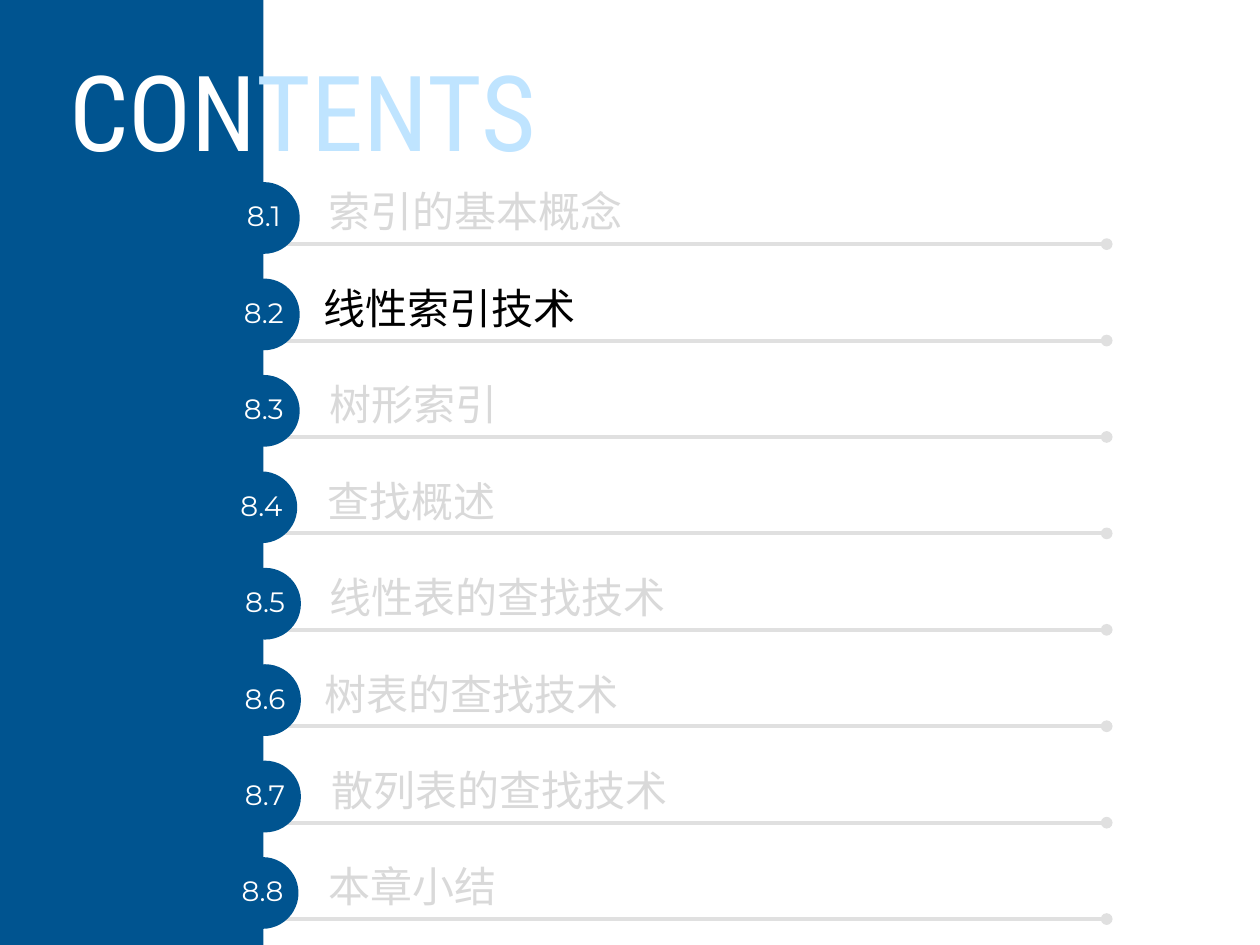
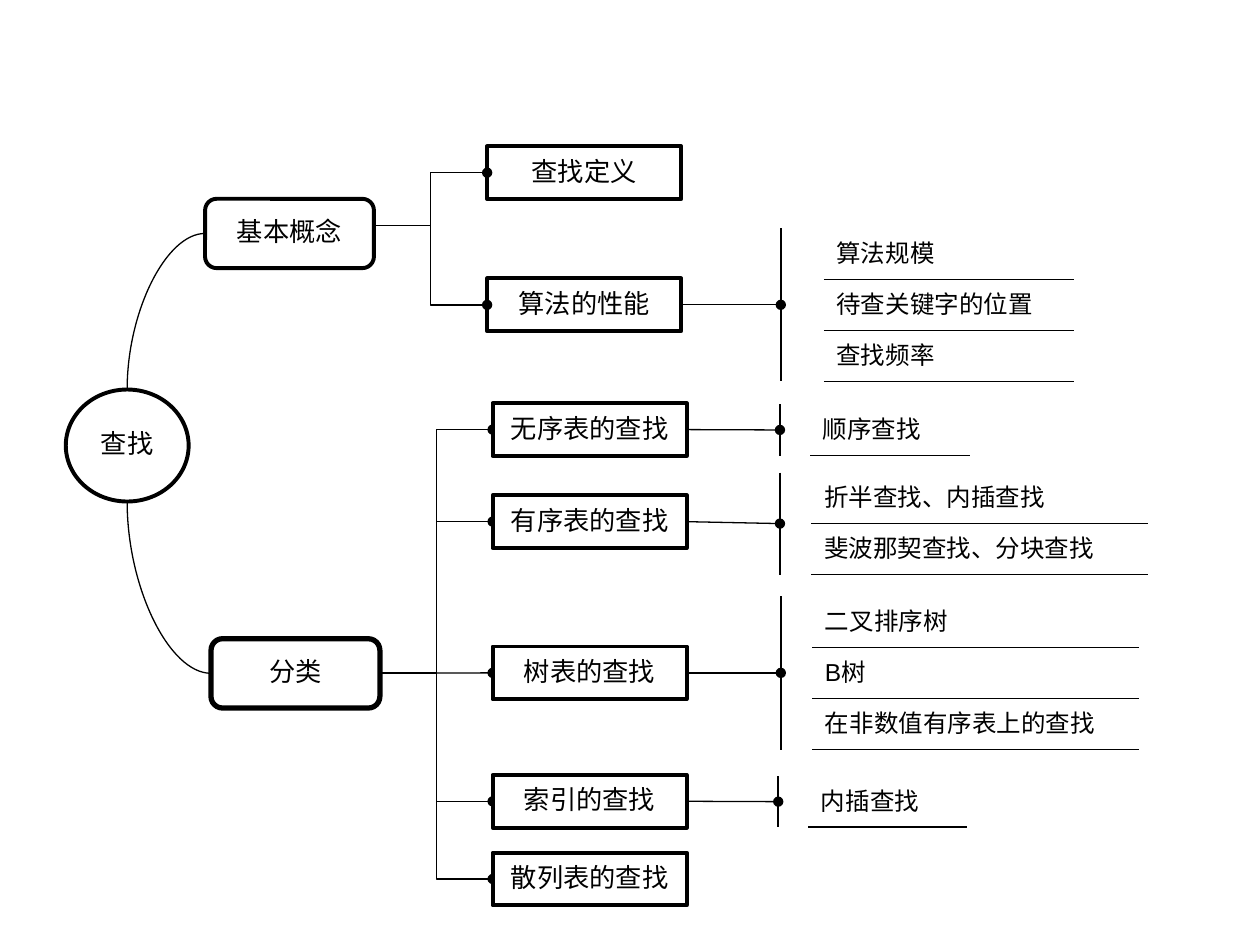
from dataclasses import dataclass
from typing import Optional

from lxml.etree import SubElement
from pptx import Presentation
from pptx.dml.color import RGBColor
from pptx.enum.shapes import MSO_CONNECTOR, MSO_SHAPE
from pptx.enum.text import MSO_ANCHOR, MSO_AUTO_SIZE, PP_ALIGN
from pptx.oxml.ns import qn
from pptx.util import Pt

BLUE, PALE_BLUE = "005490", "BFE4FF"
WHITE, BLACK = "FFFFFF", "000000"
RULE_GRAY, MUTED_GRAY = "E0E0E0", "D9D9D9"
TITLE_FONT, NUMBER_FONT = "Roboto Condensed", "Montserrat"
CONTENTS_FONT, NODE_FONT, TABLE_FONT = "Noto Sans CJK JP", "Noto Sans CJK SC", "Arial"
PLAIN_TABLE_STYLE = "{2D5ABB26-0587-4C30-8999-92F81FD0307C}"

BAND_WIDTH = 150.5
ENTRY_PITCH = 55.1
CIRCLE_SIZE = 41
LEAF_WIDTH, LEAF_HEIGHT = 110.9, 30.2
TOPIC_WIDTH, TOPIC_HEIGHT = 96.5, 39.6
DETAIL_ROW_HEIGHT = 29.2


@dataclass
class Entry:
    text: str
    circle_left: float
    text_left: float
    color: str = MUTED_GRAY


@dataclass
class Details:
    left: float
    top: float
    gap_width: float
    text_width: float
    rows: list[str]

    @property
    def middle(self) -> float:
        return self.top + len(self.rows) * DETAIL_ROW_HEIGHT / 2


@dataclass
class Leaf:
    text: str
    top: float
    details: Optional[Details] = None


@dataclass
class Topic:
    text: str
    left: float
    top: float
    line_width: float
    outlet: float
    leaf_left: float
    dots_in_front: bool
    leaves: list[Leaf]


ENTRIES = [
    Entry("索引的基本概念", 130.3, 180.7),
    Entry("线性索引技术", 130.3, 177.8, BLACK),
    Entry("树形索引", 130.3, 181.4),
    Entry("查找概述", 128.9, 180),
    Entry("线性表的查找技术", 131, 181.4),
    Entry("树表的查找技术", 131, 178.6),
    Entry("散列表的查找技术", 131, 182.2),
    Entry("本章小结", 129.6, 180.7),
]

TOPICS = [
    Topic("分类", 120.6, 365, 3, 384.6, 281.5, False, [
        Leaf("无序表的查找", 230.4, Details(445.7, 231.1, 16.6, 91.4, ["顺序查找"])),
        Leaf("有序表的查找", 283, Details(
            445.7, 270, 18, 192.2, ["折半查找、内插查找", "斐波那契查找、分块查找"])),
        Leaf("树表的查找", 369.4, Details(
            446.2, 340.7, 18, 186.5, ["二叉排序树", "B树", "在非数值有序表上的查找"])),
        Leaf("索引的查找", 442.8, Details(444.7, 443.5, 16.6, 90.7, ["内插查找"])),
        Leaf("散列表的查找", 487.2),
    ]),
    Topic("基本概念", 117.2, 113.6, 2.25, 129, 278.4, True, [
        Leaf("查找定义", 83.6),
        Leaf("算法的性能", 159.1, Details(
            446.2, 130.4, 24.6, 142.8, ["算法规模", "待查关键字的位置", "查找频率"])),
    ]),
]


def color_of(value: str) -> RGBColor:
    return RGBColor.from_string(value)


def add_run(paragraph, text: str, font: str, size: float, color: str) -> None:
    run = paragraph.add_run()
    run.text = text
    run.font.size = Pt(size)
    run.font.name = font
    run.font.color.rgb = color_of(color)
    SubElement(run.font._element, qn("a:ea"), typeface=font)


def prepare_text(shape, align: PP_ALIGN):
    frame = shape.text_frame
    frame.word_wrap = True
    frame.auto_size = MSO_AUTO_SIZE.NONE
    frame.vertical_anchor = MSO_ANCHOR.MIDDLE
    paragraph = frame.paragraphs[0]
    paragraph.alignment = align
    paragraph.line_spacing = 0.9
    return paragraph


def add_box(slide, kind: MSO_SHAPE, left: float, top: float, width: float,
            height: float, fill: str, line_width: float = 0):
    shape = slide.shapes.add_shape(kind, Pt(left), Pt(top), Pt(width), Pt(height))
    shape.shadow.inherit = False
    shape.fill.solid()
    shape.fill.fore_color.rgb = color_of(fill)
    if line_width:
        shape.line.color.rgb = color_of(BLACK)
        shape.line.width = Pt(line_width)
    else:
        shape.line.fill.background()
    return shape


def add_node(slide, kind: MSO_SHAPE, text: str, left: float, top: float,
             width: float, height: float, line_width: float = 2.25):
    node = add_box(slide, kind, left, top, width, height, WHITE, line_width)
    add_run(prepare_text(node, PP_ALIGN.CENTER), text, NODE_FONT, 15, BLACK)
    return node


def add_line(slide, kind: MSO_CONNECTOR, start: tuple[float, float],
             end: tuple[float, float], color: str = BLACK, width: float = 0.75,
             ovals: tuple[str, ...] = ("tailEnd",)):
    connector = slide.shapes.add_connector(kind, *map(Pt, start + end))
    connector.line.color.rgb = color_of(color)
    connector.line.width = Pt(width)
    for end_name in ovals:
        SubElement(connector.line._get_or_add_ln(), qn(f"a:{end_name}"), type="oval")
    SubElement(connector._element.spPr, qn("a:effectLst"))
    return connector


def add_arc(slide, start: tuple[float, float], end: tuple[float, float]) -> None:
    connector = add_line(slide, MSO_CONNECTOR.CURVE, start, end, ovals=())
    connector._element.spPr.find(qn("a:prstGeom")).set("prst", "curvedConnector2")


def bring_to_front(slide, shape) -> None:
    slide.shapes._spTree.append(shape._element)


def add_border(cell, side: str) -> None:
    border = SubElement(cell._tc.get_or_add_tcPr(), qn(f"a:{side}"), w=str(Pt(1)))
    fill = SubElement(border, qn("a:solidFill"))
    SubElement(fill, qn("a:srgbClr"), val=BLACK)


def add_details(slide, details: Details) -> None:
    count = len(details.rows)
    table = slide.shapes.add_table(
        count, 2, Pt(details.left), Pt(details.top),
        Pt(details.gap_width + details.text_width), Pt(count * DETAIL_ROW_HEIGHT)).table
    table._tbl.tblPr.find(qn("a:tableStyleId")).text = PLAIN_TABLE_STYLE
    table.first_row = table.horz_banding = False
    table.columns[0].width = Pt(details.gap_width)
    table.columns[1].width = Pt(details.text_width)
    for index, text in enumerate(details.rows):
        table.rows[index].height = Pt(DETAIL_ROW_HEIGHT)
        gap_cell, text_cell = table.cell(index, 0), table.cell(index, 1)
        add_border(gap_cell, "lnL")
        if index:
            add_border(text_cell, "lnT")
        add_border(text_cell, "lnB")
        for cell in (gap_cell, text_cell):
            cell.fill.background()
            cell.vertical_anchor = MSO_ANCHOR.MIDDLE
        add_run(text_cell.text_frame.paragraphs[0], text, TABLE_FONT, 14, BLACK)


def add_contents_title(slide) -> None:
    title = slide.shapes.title
    title.left, title.top, title.width, title.height = map(Pt, (-2.9, 25.2, 351.4, 83.5))
    paragraph = prepare_text(title, PP_ALIGN.CENTER)
    add_run(paragraph, "CON", TITLE_FONT, 60, WHITE)
    add_run(paragraph, "TENTS", TITLE_FONT, 60, PALE_BLUE)
    bring_to_front(slide, title)


def add_entry(slide, entry: Entry, index: int) -> None:
    offset = index * ENTRY_PITCH
    circle = add_box(slide, MSO_SHAPE.OVAL, entry.circle_left, 104.1 + offset,
                     CIRCLE_SIZE, CIRCLE_SIZE, BLUE)
    paragraph = prepare_text(circle, PP_ALIGN.CENTER)
    frame = circle.text_frame
    frame.margin_left = frame.margin_top = frame.margin_right = frame.margin_bottom = 0
    add_run(paragraph, f"8.{index + 1}", NUMBER_FONT, 16, WHITE)
    label = slide.shapes.add_textbox(
        Pt(entry.text_left), Pt(108.1 + offset), Pt(345), Pt(28.8))
    add_run(prepare_text(label, PP_ALIGN.LEFT), entry.text, CONTENTS_FONT, 24, entry.color)


def build_contents(presentation) -> None:
    slide = presentation.slides.add_slide(presentation.slide_layouts[5])
    for index in range(len(ENTRIES)):
        y = 139.5 + index * ENTRY_PITCH
        add_line(slide, MSO_CONNECTOR.STRAIGHT, (BAND_WIDTH, y), (632.4, y),
                 RULE_GRAY, 2.25, ("headEnd", "tailEnd"))
    add_box(slide, MSO_SHAPE.RECTANGLE, 0, 0, BAND_WIDTH, 540, BLUE)
    add_contents_title(slide)
    for index, entry in enumerate(ENTRIES):
        add_entry(slide, entry, index)


def add_topic(slide, topic: Topic) -> None:
    topic_box = add_node(slide, MSO_SHAPE.ROUNDED_RECTANGLE, topic.text, topic.left,
                         topic.top, TOPIC_WIDTH, TOPIC_HEIGHT, topic.line_width)
    start = (topic.left + TOPIC_WIDTH, topic.outlet)
    for leaf in topic.leaves:
        box = add_node(slide, MSO_SHAPE.RECTANGLE, leaf.text, topic.leaf_left,
                       leaf.top, LEAF_WIDTH, LEAF_HEIGHT)
        middle = leaf.top + LEAF_HEIGHT / 2
        end = (topic.leaf_left, middle)
        if abs(middle - topic.outlet) < 1:
            branch = add_line(slide, MSO_CONNECTOR.STRAIGHT, start, end)
            branch.begin_connect(topic_box, 3)
            branch.end_connect(box, 1)
        else:
            add_line(slide, MSO_CONNECTOR.ELBOW, start, end)
        if not topic.dots_in_front:
            bring_to_front(slide, box)
        if leaf.details:
            add_details(slide, leaf.details)
            link = add_line(slide, MSO_CONNECTOR.STRAIGHT,
                            (topic.leaf_left + LEAF_WIDTH, middle),
                            (leaf.details.left, leaf.details.middle))
            link.begin_connect(box, 3)


def build_search_map(presentation) -> None:
    slide = presentation.slides.add_slide(presentation.slide_layouts[6])
    add_node(slide, MSO_SHAPE.OVAL, "查找", 37.6, 222.6, 70.2, 64)
    for topic in TOPICS:
        add_topic(slide, topic)
    categories, basics = TOPICS
    root_x = 72.7
    add_arc(slide, (basics.left, basics.top + TOPIC_HEIGHT / 2), (root_x, 222.6))
    add_arc(slide, (categories.left, categories.top + TOPIC_HEIGHT / 2), (root_x, 286.6))


def main() -> None:
    presentation = Presentation()
    presentation.slide_width, presentation.slide_height = Pt(720), Pt(540)
    build_contents(presentation)
    build_search_map(presentation)
    presentation.save("out.pptx")


if __name__ == "__main__":
    main()
